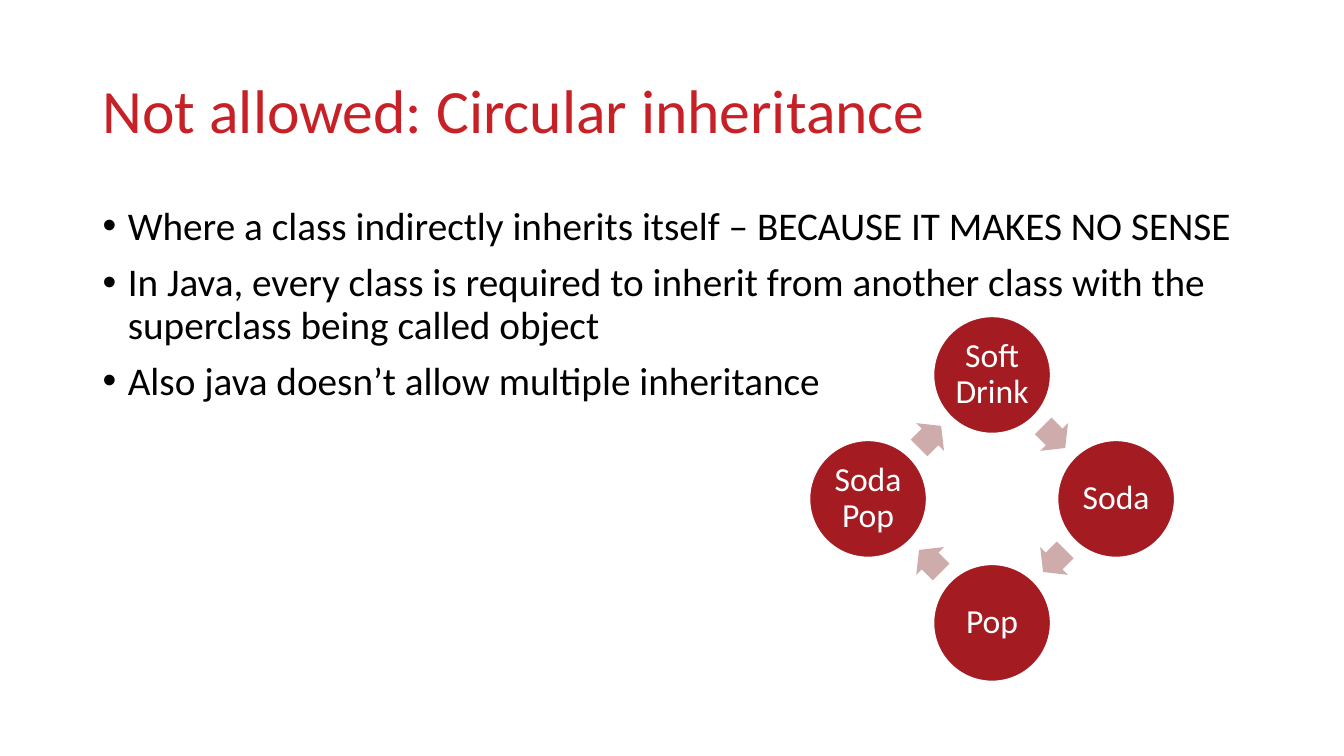
import math
from dataclasses import dataclass

from lxml import etree
from pptx import Presentation
from pptx import util as u
from pptx.dml.color import RGBColor
from pptx.enum import shapes, text
from pptx.oxml.ns import qn

PX = 9144  # EMU per px, at 100 px to the inch
FONT = "Calibri"
RED, DARK_RED, PINK = "C72027", "A51B22", "CFACAC"
BLACK, WHITE = "000000", "FFFFFF"

# Geometry of the cycle
CENTER_X, CENTER_Y = 984, 495
RING_RADIUS = 123
CIRCLE_SIZE = 116
ARROW_LENGTH, ARROW_WIDTH = 31, 39


@dataclass
class ClassNode:
    name: str
    angle: int  # degrees clockwise from the right


@dataclass
class TextBlock:
    left: int
    top: int
    width: int
    height: int
    lines: list[str]
    size: int
    color: str
    anchor: text.MSO_ANCHOR
    bulleted: bool = False


BLOCKS = [
    TextBlock(92, 40, 988, 145, ["Not allowed: Circular inheritance"],
              44, RED, text.MSO_ANCHOR.MIDDLE),
    TextBlock(92, 200, 1150, 476, [
        "Where a class indirectly inherits itself – BECAUSE IT MAKES NO SENSE",
        "In Java, every class is required to inherit from another class with "
        "the superclass being called object",
        "Also java doesn’t allow multiple inheritance",
    ], 28, BLACK, text.MSO_ANCHOR.TOP, bulleted=True),
]
NODES = [
    ClassNode("Soft Drink", -90),
    ClassNode("Soda", 0),
    ClassNode("Pop", 90),
    ClassNode("Soda Pop", 180),
]


def px(length: float) -> u.Emu:
    return u.Emu(round(length * PX))


def rgb(color: str) -> RGBColor:
    return RGBColor.from_string(color)


def format_paragraph(paragraph, size: int, color: str) -> None:
    paragraph.line_spacing = 0.9
    for run in paragraph.runs:
        run.font.name = FONT
        run.font.size = u.Pt(size)
        run.font.color.rgb = rgb(color)


def add_bullet(paragraph) -> None:
    paragraph.space_before = u.Pt(10)
    properties = paragraph._p.get_or_add_pPr()
    properties.set("marL", str(px(25)))
    properties.set("indent", str(px(-25)))
    etree.SubElement(properties, qn("a:buFont")).set("typeface", "Arial")
    etree.SubElement(properties, qn("a:buChar")).set("char", "•")


def draw_text(slide, block: TextBlock) -> None:
    box = slide.shapes.add_textbox(px(block.left), px(block.top),
                                   px(block.width), px(block.height))
    frame = box.text_frame
    frame.word_wrap = True
    frame.vertical_anchor = block.anchor
    frame.text = "\n".join(block.lines)
    for paragraph in frame.paragraphs:
        format_paragraph(paragraph, block.size, block.color)
        if block.bulleted:
            add_bullet(paragraph)


def add_on_ring(slide, kind: shapes.MSO_SHAPE, angle: float, radius: float,
                width: int, height: int, fill: str):
    """Add a shape centred on a ring around the middle of the cycle."""
    x = CENTER_X + radius * math.cos(math.radians(angle))
    y = CENTER_Y + radius * math.sin(math.radians(angle))
    shape = slide.shapes.add_shape(kind, px(x - width / 2), px(y - height / 2),
                                   px(width), px(height))
    shape.shadow.inherit = False
    shape.fill.solid()
    shape.fill.fore_color.rgb = rgb(fill)
    return shape


def draw_node(slide, node: ClassNode) -> None:
    circle = add_on_ring(slide, shapes.MSO_SHAPE.OVAL, node.angle, RING_RADIUS,
                         CIRCLE_SIZE, CIRCLE_SIZE, DARK_RED)
    circle.line.color.rgb = rgb(WHITE)
    circle.line.width = u.Pt(1)
    frame = circle.text_frame
    frame.word_wrap = True
    frame.vertical_anchor = text.MSO_ANCHOR.MIDDLE
    frame.margin_left = frame.margin_right = px(3)
    frame.margin_top = frame.margin_bottom = px(3)
    frame.text = node.name
    paragraph = frame.paragraphs[0]
    paragraph.alignment = text.PP_ALIGN.CENTER
    format_paragraph(paragraph, 24, WHITE)


def draw_arrow_after(slide, node: ClassNode) -> None:
    angle = node.angle + 45
    arrow = add_on_ring(slide, shapes.MSO_SHAPE.RIGHT_ARROW, angle,
                        RING_RADIUS / math.sqrt(2),
                        ARROW_LENGTH, ARROW_WIDTH, PINK)
    arrow.adjustments[0] = 0.6
    arrow.adjustments[1] = 0.5
    arrow.rotation = angle + 90
    arrow.line.fill.background()


def main() -> None:
    presentation = Presentation()
    presentation.slide_width = px(1333)
    presentation.slide_height = px(750)
    slide = presentation.slides.add_slide(presentation.slide_layouts[6])

    # Title and bullets
    for block in BLOCKS:
        draw_text(slide, block)

    # Inheritance cycle
    for node in NODES:
        draw_node(slide, node)
        draw_arrow_after(slide, node)

    presentation.save("out.pptx")


if __name__ == "__main__":
    main()
